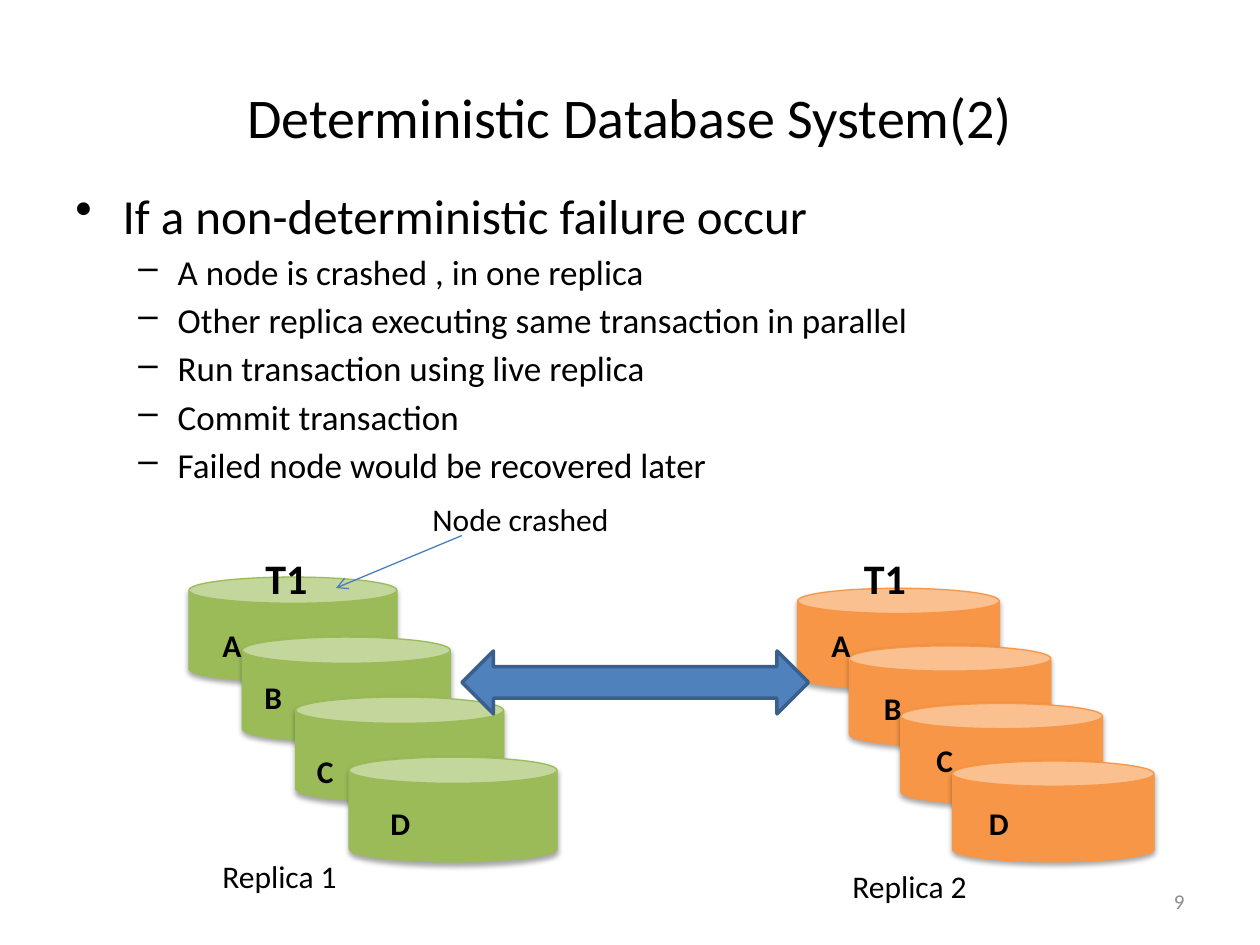
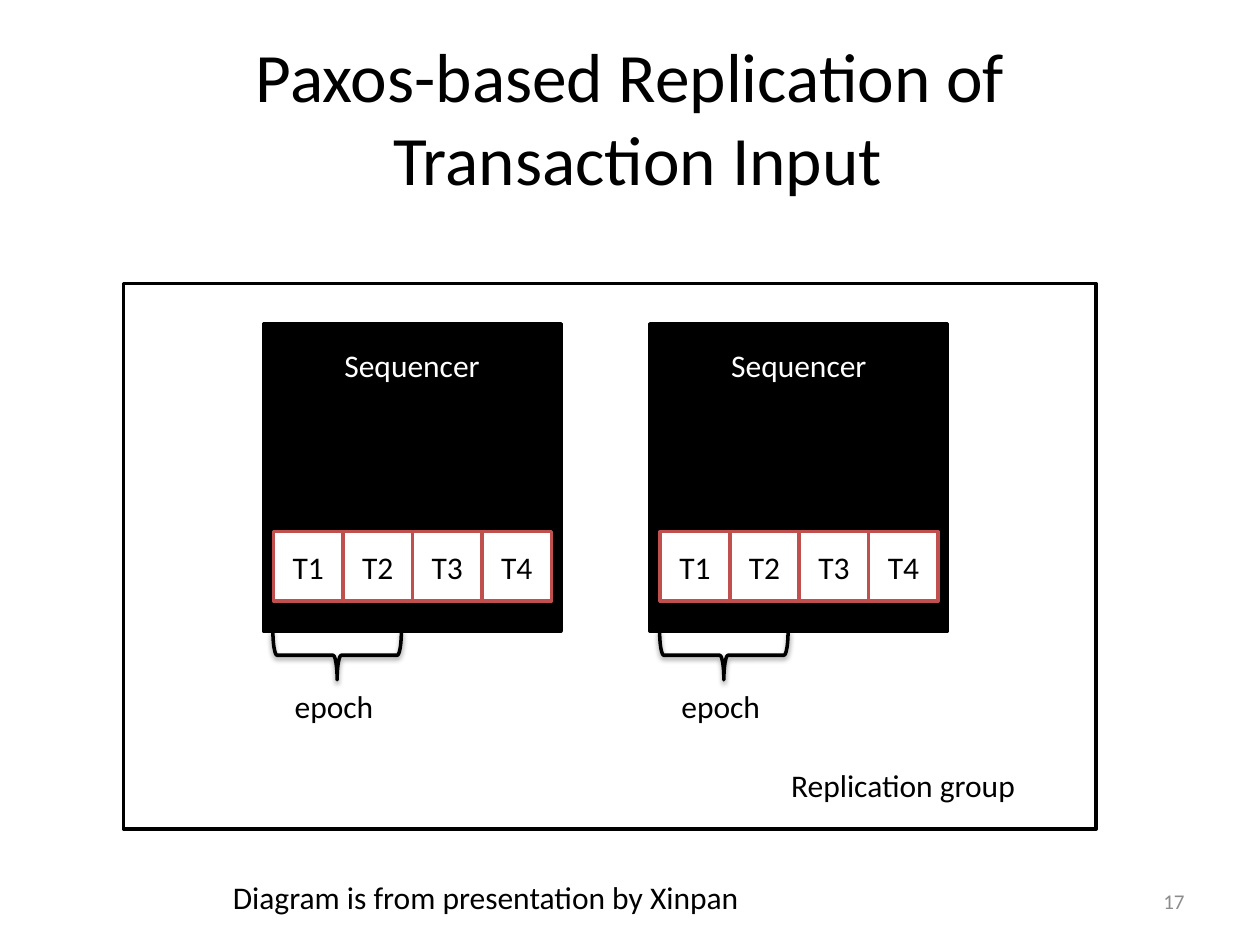
from dataclasses import dataclass

from lxml.etree import SubElement as Sub
from pptx import Presentation
from pptx.dml.color import RGBColor as Rgb
from pptx.enum.shapes import MSO_CONNECTOR as Link
from pptx.enum.shapes import MSO_SHAPE as Form
from pptx.enum.text import MSO_ANCHOR as Anchor
from pptx.enum.text import MSO_AUTO_SIZE as Fit
from pptx.enum.text import PP_ALIGN as Align
from pptx.oxml.ns import qn
from pptx.util import Pt


@dataclass(frozen=True)
class Theme:
    font: str = "Calibri"
    black: str = "000000"
    white: str = "FFFFFF"
    gray: str = "8C8C8C"
    green: str = "9BBB59"
    orange: str = "F79646"
    blue: str = "4F81BD"
    navy: str = "3A5F8C"
    link: str = "4B7EBC"
    red: str = "C0504D"
    body: int = 18
    mark: int = 24
    foot: int = 12
    thin: float = 0.75
    thick: float = 2


T = Theme()


@dataclass(frozen=True)
class Box:
    left: float
    top: float
    width: float
    height: float

    def points(self) -> tuple:
        return Pt(self.left), Pt(self.top), Pt(self.width), Pt(self.height)


@dataclass(frozen=True)
class Level:
    size: int
    left: float
    hang: float
    mark: str
    before: float


@dataclass(frozen=True)
class Replica:
    name: str
    color: str
    first: Box      # the rearmost can
    step: tuple     # shift from one can to the next
    spots: tuple    # places of the letters A to D
    mark: tuple     # place of the transaction mark
    label: tuple    # place of the name


HEAD = Level(28, 27, 27, "•", 5)
ITEM = Level(20, 58.5, 22.5, "–", 3.6)
TITLE = Box(36, 21.6, 648, 90)
NUMBER = Box(516.24, 500.4, 167.76, 28.8)

POINTS = [
    ("If a non-deterministic failure occur", HEAD),
    ("A node is crashed , in one replica", ITEM),
    ("Other replica executing same transaction in parallel", ITEM),
    ("Run transaction using live replica", ITEM),
    ("Commit transaction", ITEM),
    ("Failed node would be recovered later", ITEM),
]

REPLICAS = [
    Replica("Replica 1", T.green, Box(108, 329.8, 118.8, 59.8), (30.5, 34.3),
            ((120, 354), (144, 384), (174, 426), (216, 456)),
            (120, 312), (120, 486)),
    Replica("Replica 2", T.orange, Box(455.8, 336.2, 115.2, 57.6), (29.5, 32.9),
            ((468, 354), (498, 390), (528, 420), (558, 456)),
            (462, 312), (480, 492)),
]


# Text
def write(frame, text: str, *, size: float = T.body, color: str = T.black,
          bold: bool = False, align=Align.LEFT, anchor=Anchor.TOP,
          level: Level | None = None, more: bool = False) -> None:
    """Write one paragraph; with more, add it after those already there."""
    frame.word_wrap = True
    frame.auto_size = Fit.NONE
    frame.vertical_anchor = anchor
    para = frame.add_paragraph() if more else frame.paragraphs[0]
    para.text = text
    para.alignment = align
    for run in para.runs:
        font = run.font
        font.name, font.size, font.bold = T.font, Pt(size), bold
        font.color.rgb = Rgb.from_string(color)
    if level:
        para.space_before = Pt(level.before)
        props = para._p.get_or_add_pPr()
        props.set("marL", str(Pt(level.left)))
        props.set("indent", str(-Pt(level.hang)))
        Sub(props, qn("a:buChar"), char=level.mark)


def label(slide, text: str, box: Box, inset: float = 7.2, **fmt) -> None:
    frame = slide.shapes.add_textbox(*box.points()).text_frame
    frame.margin_left = Pt(inset)
    write(frame, text, **fmt)


# Shapes
def draw(slide, form, box: Box, fill: str | None, line: str,
         width: float = T.thick):
    shape = slide.shapes.add_shape(form, *box.points())
    shape.shadow.inherit = False
    if fill:
        shape.fill.solid()
        shape.fill.fore_color.rgb = Rgb.from_string(fill)
    else:
        shape.fill.background()
    shape.line.color.rgb = Rgb.from_string(line)
    shape.line.width = Pt(width)
    return shape


def shade(shape, alpha: int, dist: float) -> None:
    """Cast a soft black shadow straight down."""
    effects = shape._element.spPr.find(qn("a:effectLst"))
    outer = Sub(effects, qn("a:outerShdw"), blurRad=str(Pt(3.1)),
                dist=str(Pt(dist)), dir="5400000", rotWithShape="0")
    color = Sub(outer, qn("a:srgbClr"), val=T.black)
    Sub(color, qn("a:alpha"), val=str(alpha * 1000))


def arrow(slide, start: tuple, end: tuple) -> None:
    line = slide.shapes.add_connector(
        Link.STRAIGHT, *(Pt(v) for v in start + end))
    line.line.color.rgb = Rgb.from_string(T.link)
    line.line.width = Pt(T.thin)
    Sub(line.line._get_or_add_ln(), qn("a:tailEnd"), type="arrow")
    Sub(line._element.spPr, qn("a:effectLst"))


# Frame shared by the slides
def start(deck, title: str, size: float, number: int):
    slide = deck.slides.add_slide(deck.slide_layouts[5])
    head = slide.shapes.title
    head.left, head.top, head.width, head.height = TITLE.points()
    write(head.text_frame, title, size=size, align=Align.CENTER,
          anchor=Anchor.MIDDLE)
    label(slide, str(number), NUMBER, size=T.foot, color=T.gray,
          align=Align.RIGHT, anchor=Anchor.MIDDLE)
    return slide


# Slide with the two replicas
def stack(slide, rep: Replica) -> None:
    base = rep.first
    for i in range(len(rep.spots)):
        box = Box(base.left + i * rep.step[0], base.top + i * rep.step[1],
                  base.width, base.height)
        shade(draw(slide, Form.CAN, box, rep.color, rep.color, T.thin), 35, 1.8)


def tag(slide, rep: Replica) -> None:
    label(slide, "T1", Box(*rep.mark, 90, 36), inset=31.6, size=T.mark,
          bold=True)
    for letter, spot in zip("ABCD", rep.spots):
        label(slide, letter, Box(*spot, 84, 28.8), bold=True)
    label(slide, rep.name, Box(*rep.label, 162, 28.8))


def failure(deck) -> None:
    slide = start(deck, "Deterministic Database System(2)", 32, 9)
    body = slide.shapes.add_textbox(*Box(36, 102.24, 648, 414).points())
    for i, (text, level) in enumerate(POINTS):
        write(body.text_frame, text, size=level.size, level=level, more=i > 0)
    for rep in REPLICAS:
        stack(slide, rep)
    arrow(slide, (264, 306), (192, 336))
    label(slide, "Node crashed", Box(240, 282, 126, 30))
    draw(slide, Form.LEFT_RIGHT_ARROW, Box(264, 372, 198, 36), T.blue, T.navy)
    for rep in REPLICAS:
        tag(slide, rep)


# Slide with the replication group
def sequence(slide, left: float) -> None:
    block = draw(slide, Form.RECTANGLE, Box(left, 185, 170, 175.7),
                 T.black, T.black)
    block.text_frame.margin_top = Pt(13)
    write(block.text_frame, "Sequencer", color=T.white, align=Align.CENTER)
    side = 39.7
    for i in range(4):
        cell = draw(slide, Form.RECTANGLE,
                    Box(left + 5.8 + i * side, 303.8, side, side),
                    T.white, T.red)
        write(cell.text_frame, f"T{i + 1}", align=Align.CENTER,
              anchor=Anchor.MIDDLE)
    brace = draw(slide, Form.LEFT_BRACE, Box(left + 28.1, 337.7, 28.1, 73.4),
                 None, T.black)
    brace.rotation = 270
    shade(brace, 38, 1.6)
    label(slide, "epoch", Box(left + 10.8, 388.8, 85, 28.8))


def group(deck) -> None:
    slide = start(deck, "Paxos-based Replication of\v Transaction Input",
                  39.6, 17)
    draw(slide, Form.RECTANGLE, Box(70.6, 162, 555.8, 311.8), T.white, T.black)
    for left in (150.5, 371.5):
        sequence(slide, left)
    label(slide, "Replication group", Box(445, 434.2, 175.7, 28.8))
    label(slide, "Diagram is from presentation by Xinpan",
          Box(126, 498.2, 347.8, 28.8))


def main() -> None:
    deck = Presentation()
    deck.slide_width, deck.slide_height = Pt(720), Pt(540)
    failure(deck)
    group(deck)
    deck.save("out.pptx")


if __name__ == "__main__":
    main()
